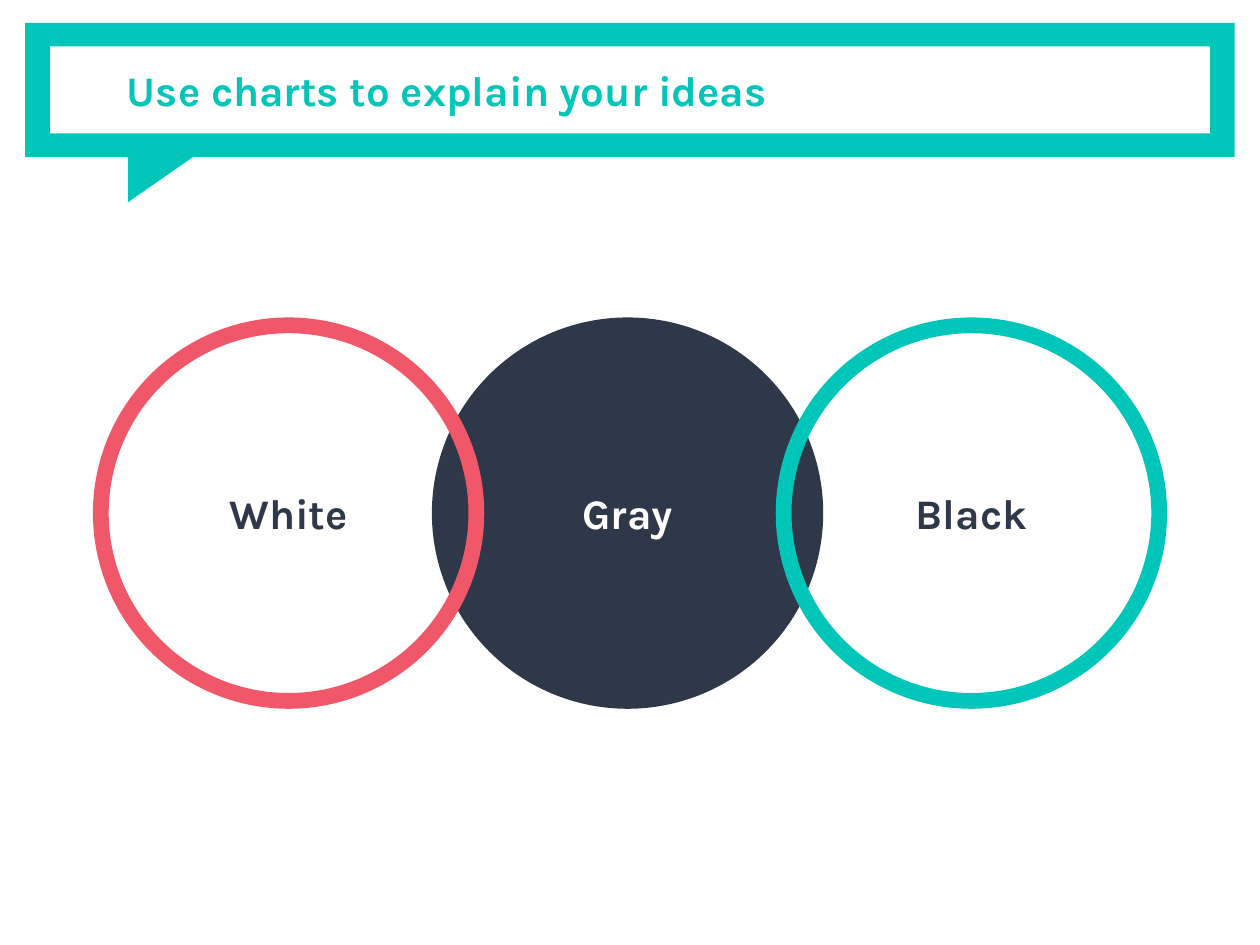
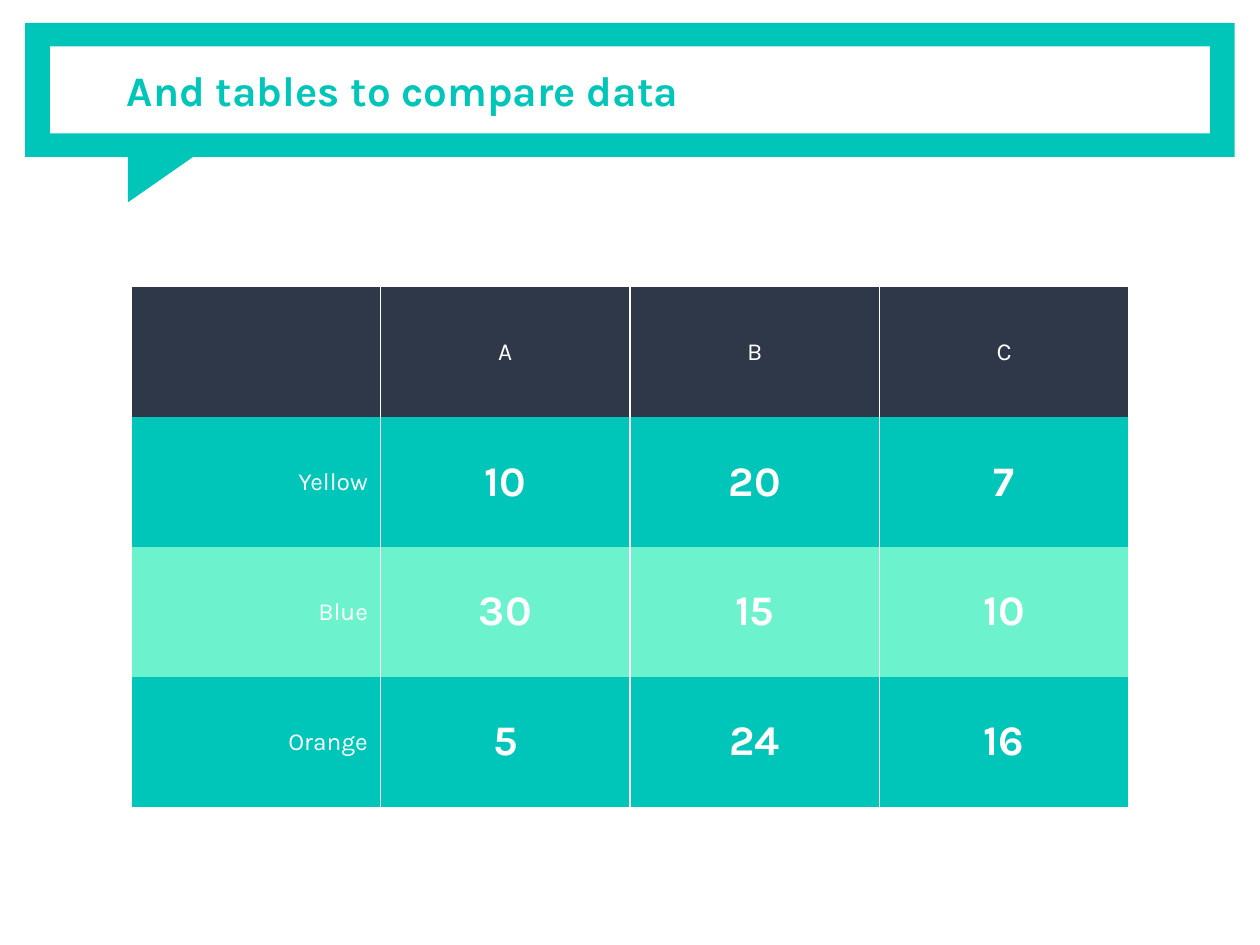
from lxml import etree
from pptx import Presentation
from pptx.dml.color import RGBColor
from pptx.enum.shapes import MSO_SHAPE
from pptx.enum.text import MSO_ANCHOR, PP_ALIGN
from pptx.oxml.ns import qn
from pptx.util import Pt

RECT, OVAL, WEDGE = MSO_SHAPE.RECTANGLE, MSO_SHAPE.OVAL, MSO_SHAPE.RIGHT_TRIANGLE
LEFT, MID, RIGHT = PP_ALIGN.LEFT, PP_ALIGN.CENTER, PP_ALIGN.RIGHT
MIDDLE = MSO_ANCHOR.MIDDLE

TEAL, MINT, NAVY, CORAL, WHITE = "00C5B9", "6CF3CE", "2F3848", "F05768", "FFFFFF"
BOLD = {"name": "Karla", "size": Pt(24), "bold": True}
PLAIN = {"name": "Karla", "size": Pt(14), "bold": False}
PAD = Pt(7.2)
SIDES = ("margin_left", "margin_right", "margin_top", "margin_bottom")
NO_GRID = "{2D5ABB26-0587-4C30-8999-92F81FD0307C}"


def color(code):
    return RGBColor.from_string(code)


def points(*nums):
    return [Pt(num) for num in nums]


def write(frame, text, style, code, align):
    para = frame.paragraphs[0]
    para.alignment = align
    run = para.add_run()
    run.text = text
    for key, value in style.items():
        setattr(run.font, key, value)
    run.font.color.rgb = color(code)


def pad(item):
    item.vertical_anchor = MIDDLE
    for side in SIDES:
        setattr(item, side, PAD)


def draw(slide, kind, box, fill=None, edge=None):
    shape = slide.shapes.add_shape(kind, *points(*box))
    shape.shadow.inherit = False
    if fill:
        shape.fill.solid()
        shape.fill.fore_color.rgb = color(fill)
    else:
        shape.fill.background()
    if edge:
        shape.line.color.rgb = color(edge)
        shape.line.width = Pt(9)
    else:
        shape.line.fill.background()
    return shape


def add_title(slide, text, box):
    """Speech bubble with the slide title."""
    x, y, w, h = box
    draw(slide, RECT, box, TEAL)
    tail = draw(slide, WEDGE, (x + 66.2, y + 60.4, 34.6, 49.7), TEAL)
    tail.rotation = 90
    draw(slide, RECT, (x + 14.2, y + 13.4, w - 28.4, h - 26.8), WHITE)
    label = slide.shapes.add_textbox(*points(x + 51.1, y, w - 65.2, h))
    frame = label.text_frame
    frame.word_wrap = True
    pad(frame)
    write(frame, text, BOLD, TEAL, LEFT)


def add_rings(slide, box):
    """Three overlapping circles, the solid one at the back."""
    x, y, w, h = box
    rings = [
        ("Gray", 193.7, NAVY, NAVY, WHITE),
        ("White", 0, None, CORAL, NAVY),
        ("Black", w - h, None, TEAL, NAVY),
    ]
    for text, shift, fill, edge, ink in rings:
        ring = draw(slide, OVAL, (x + shift, y, h, h), fill, edge)
        ring.text_frame.word_wrap = True
        pad(ring.text_frame)
        write(ring.text_frame, text, BOLD, ink, MID)


def add_rules(cell):
    """White lines at the left and right of a cell."""
    props = cell._tc.get_or_add_tcPr()
    for spot, tag in enumerate(("a:lnL", "a:lnR")):
        line = etree.Element(qn(tag), w=str(Pt(0.75)))
        fill = etree.SubElement(line, qn("a:solidFill"))
        etree.SubElement(fill, qn("a:srgbClr"), val=WHITE)
        props.insert(spot, line)


def add_grid(slide, rows, box):
    """Table with a dark head row and alternating bands."""
    count, width = len(rows), len(rows[0])
    frame = slide.shapes.add_table(count, width, *points(*box))
    table = frame.table
    table._tbl.tblPr.find(qn("a:tableStyleId")).text = NO_GRID
    for col in table.columns:
        col.width = Pt(box[2] / width)
    for r, row in enumerate(rows):
        table.rows[r].height = Pt(box[3] / count)
        band = NAVY if r == 0 else (MINT, TEAL)[r % 2]
        for c, text in enumerate(row):
            cell = table.cell(r, c)
            cell.fill.solid()
            cell.fill.fore_color.rgb = color(band)
            add_rules(cell)
            pad(cell)
            style = BOLD if r and c else PLAIN
            write(cell.text_frame, text, style, WHITE, MID if c else RIGHT)


def main():
    deck = Presentation()
    deck.slide_width, deck.slide_height = points(720, 540)
    data = [
        ("", "A", "B", "C"),
        ("Yellow", "10", "20", "7"),
        ("Blue", "30", "15", "10"),
        ("Orange", "5", "24", "16"),
    ]
    first, second = [deck.slides.add_slide(deck.slide_layouts[6]) for _ in range(2)]
    bubble = (14.4, 13.1, 691.2, 76.5)

    # Circles
    add_title(first, "Use charts to explain your ideas", bubble)
    add_rings(first, (57.6, 185.9, 604.8, 214.6))

    # Table
    add_title(second, "And tables to compare data", bubble)
    add_grid(second, data, (74.9, 164.1, 570.3, 297))

    deck.save("out.pptx")


if __name__ == "__main__":
    main()
